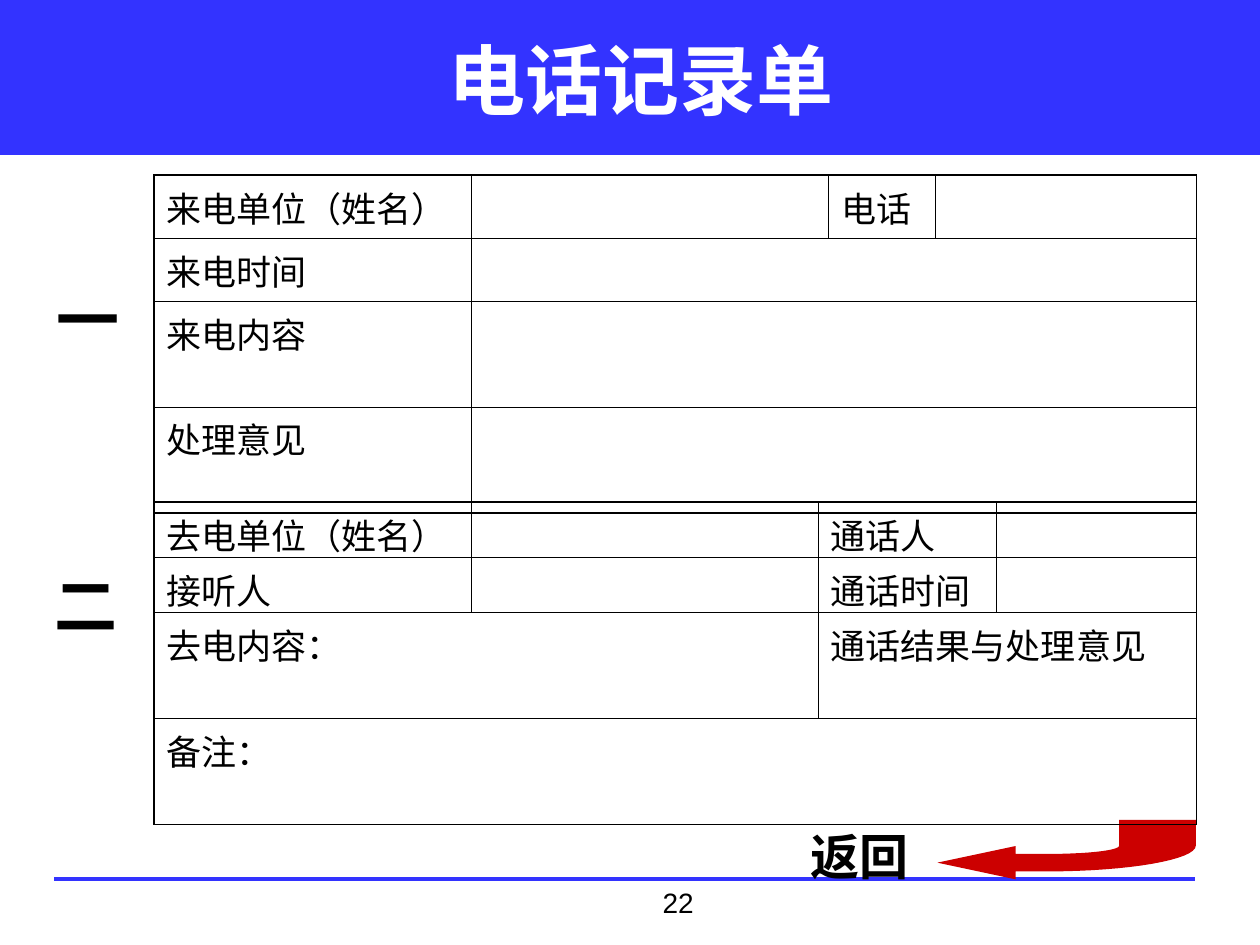
from lxml.etree import SubElement
from pptx import Presentation
from pptx.dml.color import RGBColor
from pptx.enum.shapes import MSO_CONNECTOR, MSO_SHAPE
from pptx.enum.text import MSO_ANCHOR, PP_ALIGN
from pptx.oxml import parse_xml
from pptx.oxml.ns import nsdecls, qn
from pptx.util import Pt

COLORS = {"blue": "3333FF", "red": "CC0000", "black": "000000", "white": "FFFFFF"}
FONT = "Arial"
THICK, THIN = 1.08, 0.45
TABLE_LEFT = 88
SHORT_ROW, TALL_ROW = 31.5, 60.5


def color(name):
    """Return the named colour of the palette."""
    return RGBColor.from_string(COLORS[name])


def style(paragraph, size, ink="black", bold=False):
    """Set the font of a whole paragraph."""
    paragraph.font.name = FONT
    paragraph.font.size = Pt(size)
    paragraph.font.bold = bold
    paragraph.font.color.rgb = color(ink)


def add_label(slide, text, box, size, ink="black", bold=True, wrap=False,
              align=PP_ALIGN.LEFT, anchor=MSO_ANCHOR.TOP):
    """Add a one-paragraph text box."""
    frame = slide.shapes.add_textbox(*map(Pt, box)).text_frame
    frame.word_wrap = wrap
    frame.vertical_anchor = anchor
    paragraph = frame.paragraphs[0]
    paragraph.text = text
    paragraph.alignment = align
    style(paragraph, size, ink, bold)


def add_banner(slide):
    """Add the title band across the top."""
    banner = slide.shapes.add_shape(MSO_SHAPE.RECTANGLE, 0, 0, Pt(720), Pt(88.5))
    banner.shadow.inherit = False
    banner.fill.solid()
    banner.fill.fore_color.rgb = color("blue")
    banner.line.color.rgb = color("blue")
    banner.line.width = Pt(0.75)


def add_footer_rule(slide):
    """Add the blue rule above the page number."""
    rule = slide.shapes.add_connector(
        MSO_CONNECTOR.STRAIGHT, Pt(31), Pt(502.5), Pt(683), Pt(502.5))
    rule.line.color.rgb = color("blue")
    rule.line.width = Pt(2.25)
    SubElement(rule._element.spPr, qn("a:effectLst"))


def set_borders(cell, widths):
    """Draw the left, right, top and bottom borders of a cell."""
    properties = cell._tc.get_or_add_tcPr()
    for index, (side, width) in enumerate(zip("LRTB", widths)):
        properties.insert(index, parse_xml(
            f'<a:ln{side} {nsdecls("a")} w="{int(Pt(width))}"><a:solidFill>'
            f'<a:srgbClr val="{COLORS["black"]}"/></a:solidFill></a:ln{side}>'))


def add_form(slide, top, columns, heights, labels, spans, tight_rows=(),
             bottom_width=THICK):
    """Add a form table; spans hold row, first column and last column."""
    table = slide.shapes.add_table(
        len(heights), len(columns), Pt(TABLE_LEFT), Pt(top),
        Pt(sum(columns)), Pt(sum(heights))).table
    table.first_row = table.horz_banding = False
    for column, width in zip(table.columns, columns):
        column.width = Pt(width)
    for row, height in zip(table.rows, heights):
        row.height = Pt(height)
    for row, first, last in spans:
        table.cell(row, first).merge(table.cell(row, last))
    last_row = len(heights) - 1
    for r in range(len(heights)):
        for c in range(len(columns)):
            cell = table.cell(r, c)
            cell.fill.background()
            if cell.is_spanned:
                continue
            set_borders(cell, (THICK if c == 0 else THIN, THIN,
                               THICK if r == 0 else THIN,
                               bottom_width if r == last_row else THIN))
            if r in tight_rows:
                cell.margin_bottom = 0
            if (r, c) in labels:
                paragraph = cell.text_frame.paragraphs[0]
                paragraph.text = labels[r, c]
                style(paragraph, 20)


def curve(start, control1, control2, end, steps=16):
    """Return the points of a cubic curve after its start."""
    points = []
    for step in range(1, steps + 1):
        t = step / steps
        weights = ((1 - t) ** 3, 3 * t * (1 - t) ** 2, 3 * t * t * (1 - t), t ** 3)
        points.append(tuple(
            sum(w * v for w, v in zip(weights, axis))
            for axis in zip(start, control1, control2, end)))
    return points


def add_return_arrow(slide):
    """Add the red bent arrow that points back to the left."""
    outline = [(683.3, 468.6), (683.3, 483.3)]
    outline += curve(outline[-1], (683.3, 491.3), (645, 498), (598.3, 498))
    outline += [(580.3, 498), (580.3, 502.5), (535.6, 493), (580.3, 483.5),
                (580.3, 488), (598.3, 488)]
    outline += curve(outline[-1], (621.5, 488), (639.5, 486), (639.5, 483.3))
    outline += [(639.5, 468.6)]
    start, *corners = [(Pt(x), Pt(y)) for x, y in outline]
    builder = slide.shapes.build_freeform(*start)
    builder.add_line_segments(corners, close=True)
    arrow = builder.convert_to_shape()
    arrow.shadow.inherit = False
    arrow.fill.solid()
    arrow.fill.fore_color.rgb = color("red")
    arrow.line.fill.background()


def main():
    """Build the phone record form slide."""
    deck = Presentation()
    deck.slide_width, deck.slide_height = Pt(720), Pt(540)
    slide = deck.slides.add_slide(deck.slide_layouts[6])

    add_banner(slide)
    add_footer_rule(slide)
    add_label(slide, "22", (371.5, 502.5, 45.5, 26.5), 16, bold=False)
    add_label(slide, "电话记录单", (42.5, 0, 648, 90), 44, "white", wrap=True,
              align=PP_ALIGN.CENTER, anchor=MSO_ANCHOR.MIDDLE)

    incoming = {(0, 0): "来电单位（姓名）", (0, 2): "电话", (1, 0): "来电时间",
                (2, 0): "来电内容", (3, 0): "处理意见"}
    add_form(slide, 100, (181.5, 204, 61, 149), (36, 36, TALL_ROW, TALL_ROW),
             incoming, [(row, 1, 3) for row in (1, 2, 3)])

    add_return_arrow(slide)
    add_label(slide, "返回", (456, 468.5, 74, 41), 28)

    outgoing = {(0, 0): "去电单位（姓名）", (0, 2): "通话人", (1, 0): "接听人",
                (1, 2): "通话时间", (2, 0): "去电内容：",
                (2, 2): "通话结果与处理意见", (3, 0): "备注："}
    add_form(slide, 287, (181.5, 198, 102, 114),
             (SHORT_ROW, SHORT_ROW, TALL_ROW, TALL_ROW), outgoing,
             [(2, 0, 1), (2, 2, 3), (3, 0, 3)], tight_rows=(0, 1),
             bottom_width=THIN)

    add_label(slide, "一", (25, 157, 50.5, 50.5), 36)
    add_label(slide, "二", (24, 320, 50.5, 50.5), 36)
    deck.save("out.pptx")


if __name__ == "__main__":
    main()
